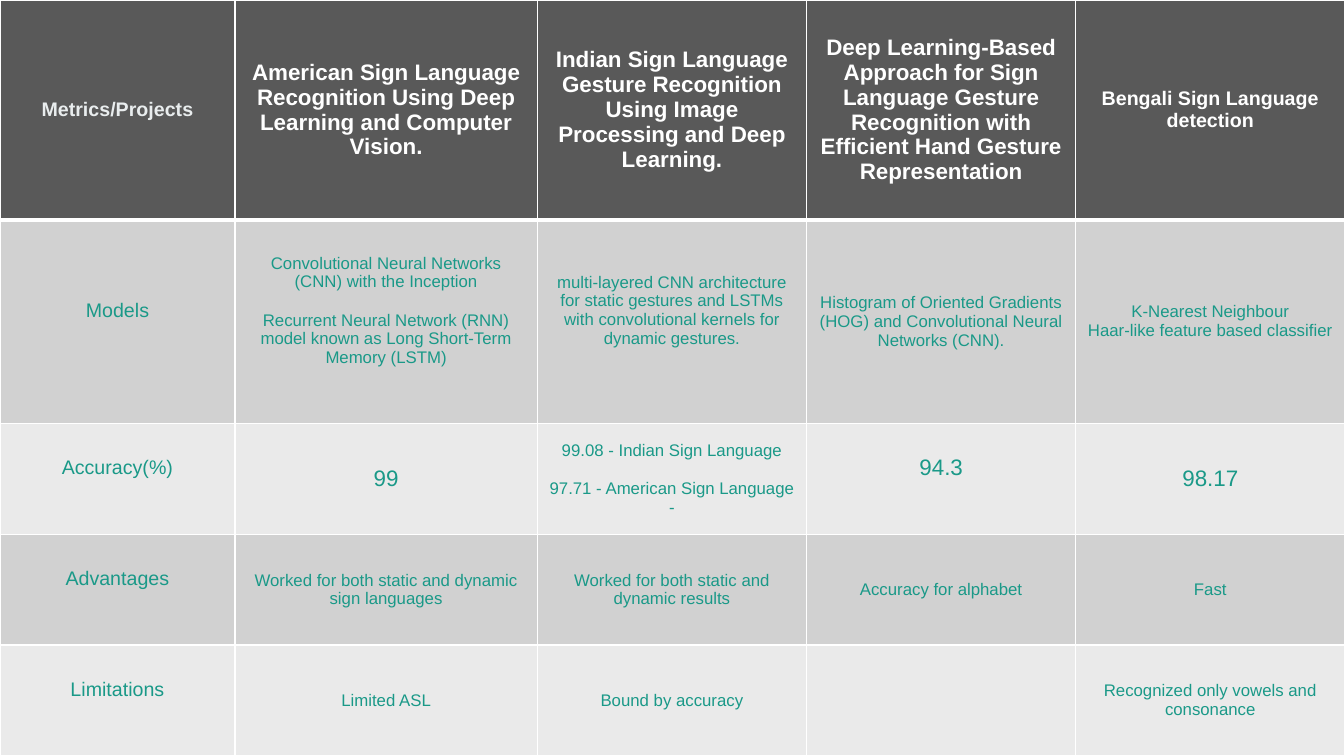
from pptx import Presentation
from pptx.dml.color import RGBColor
from pptx.enum.text import MSO_ANCHOR, PP_ALIGN
from pptx.oxml.ns import qn
from pptx.util import Inches, Pt
from lxml.etree import SubElement

WHITE = RGBColor(0xFF, 0xFF, 0xFF)
PALE = RGBColor(0xE9, 0xED, 0xEE)
TEAL = RGBColor(0x1A, 0x99, 0x88)
HEADER_GREY = RGBColor(0x59, 0x59, 0x59)
DARK_BAND = RGBColor(0xD1, 0xD1, 0xD1)
LIGHT_BAND = RGBColor(0xEA, 0xEA, 0xEA)

COLUMN_WIDTHS = [2.33, 3, 2.67, 2.67, 2.67]
ROW_HEIGHTS = [2.18, 2.02, 1.1, 1.1, 1.1]

# Each line of a cell is one paragraph
COMPARISON = [
    ["Metrics/Projects",
     "American Sign Language Recognition Using Deep Learning and Computer Vision.",
     "Indian Sign Language Gesture Recognition Using Image Processing and Deep Learning.",
     "Deep Learning-Based Approach for Sign Language Gesture Recognition with "
     "Efficient Hand Gesture Representation",
     "Bengali Sign Language detection"],
    ["Models",
     "Convolutional Neural Networks (CNN) with the Inception\n"
     "Recurrent Neural Network (RNN) model known as Long Short-Term Memory (LSTM)",
     "multi-layered CNN architecture for static gestures and LSTMs with "
     "convolutional kernels for dynamic gestures.",
     "Histogram of Oriented Gradients (HOG) and Convolutional Neural Networks (CNN).",
     "K-Nearest Neighbour\nHaar-like feature based classifier"],
    ["Accuracy(%)", "99",
     "99.08 - Indian Sign Language\n97.71 - American Sign Language -",
     "94.3", "98.17"],
    ["Advantages",
     "Worked for both static and dynamic sign languages",
     "Worked for both static and dynamic results",
     "Accuracy for alphabet", "Fast"],
    ["Limitations", "Limited ASL", "Bound by accuracy", "",
     "Recognized only vowels and consonance"],
]

LARGE_CELLS = {(0, 1), (0, 2), (0, 3), (2, 1), (2, 3), (2, 4)}
SPACED_CELLS = {(1, 1), (2, 2)}
RAISED_CELLS = {(1, 0), (2, 0), (3, 0), (4, 0), (1, 1), (1, 2), (2, 3)}


class ComparisonSlide:
    font_name = "Arial"
    paragraph_gap = Pt(13.8)
    raised_margin = Inches(0.27)

    def __init__(self, presentation):
        self.slide = presentation.slides.add_slide(presentation.slide_layouts[6])

    def add_table(self, rows, widths, heights):
        frame = self.slide.shapes.add_table(
            len(rows), len(widths), 0, 0, Inches(sum(widths)), Inches(sum(heights)))
        table = frame.table
        for column, width in zip(table.columns, widths):
            column.width = Inches(width)
        for row, height in zip(table.rows, heights):
            row.height = Inches(height)
        for r, texts in enumerate(rows):
            for c, text in enumerate(texts):
                self.fill_cell(table.cell(r, c), text, r, c)

    def fill_cell(self, cell, text, r, c):
        self.add_borders(cell, top=3 if r == 1 else 1, bottom=3 if r == 0 else 1)
        cell.fill.solid()
        cell.fill.fore_color.rgb = (
            HEADER_GREY if r == 0 else DARK_BAND if r % 2 else LIGHT_BAND)
        cell.vertical_anchor = MSO_ANCHOR.MIDDLE
        if (r, c) in RAISED_CELLS:
            cell.margin_bottom = self.raised_margin

        if (r, c) in LARGE_CELLS:
            size = 16
        else:
            size = 14 if r == 0 or c == 0 else 12
        cell.text_frame.text = text
        for i, paragraph in enumerate(cell.text_frame.paragraphs):
            paragraph.alignment = PP_ALIGN.CENTER
            if i and (r, c) in SPACED_CELLS:
                paragraph.space_before = self.paragraph_gap
            for run in paragraph.runs:
                run.font.name = self.font_name
                run.font.size = Pt(size)
                run.font.bold = r == 0
                run.font.color.rgb = TEAL if r else WHITE if c else PALE

    def add_borders(self, cell, top, bottom):
        properties = cell._tc.get_or_add_tcPr()
        for side, points in (("L", 1), ("R", 1), ("T", top), ("B", bottom)):
            line = SubElement(properties, qn(f"a:ln{side}"), w=str(Pt(points)))
            fill = SubElement(line, qn("a:solidFill"))
            SubElement(fill, qn("a:srgbClr"), val=str(WHITE))


def main():
    presentation = Presentation()
    presentation.slide_width = Inches(13.33)
    presentation.slide_height = Inches(7.5)
    ComparisonSlide(presentation).add_table(COMPARISON, COLUMN_WIDTHS, ROW_HEIGHTS)
    presentation.save("out.pptx")


if __name__ == "__main__":
    main()
